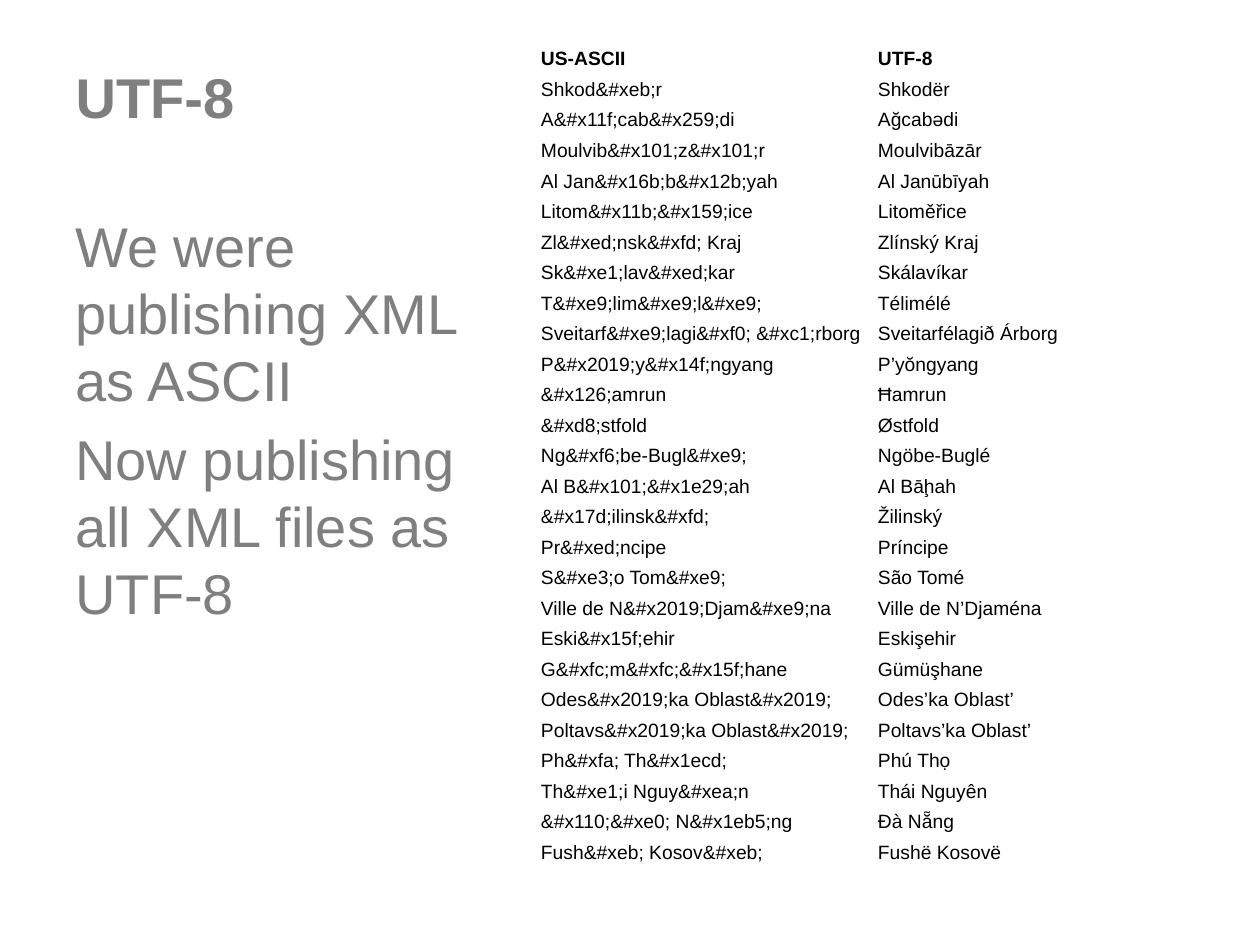
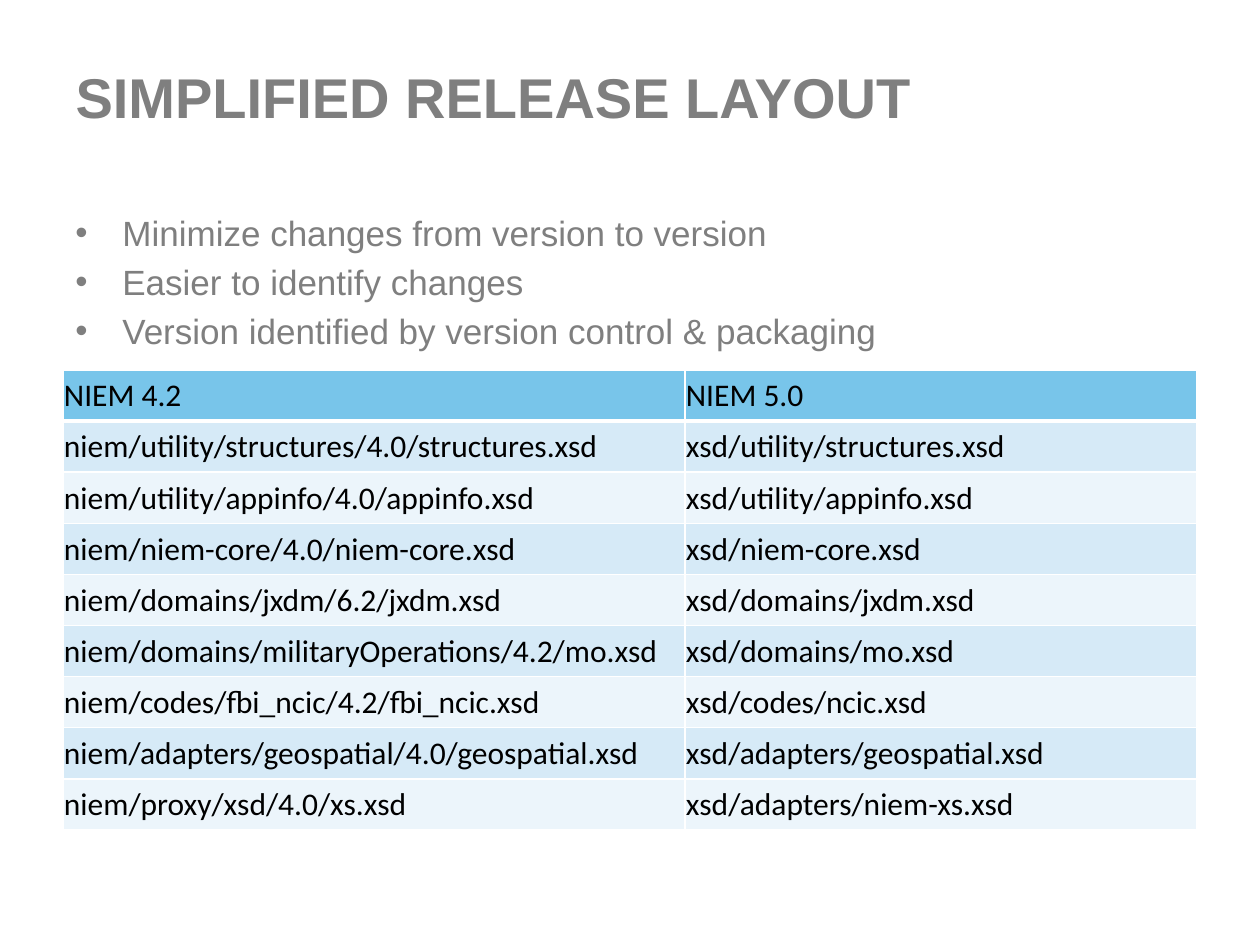
from lxml.etree import SubElement
from pptx import Presentation
from pptx.dml.color import RGBColor as Rgb
from pptx.enum.text import MSO_ANCHOR as Anchor, MSO_AUTO_SIZE as AutoSize, PP_ALIGN as Align
from pptx.oxml.ns import qn
from pptx.util import Emu, Pt

COLORS = {
    "heading": "7F7F7F",
    "cell_text": "000000",
    "border": "FFFFFF",
    "header": "78C5EA",
    "odd_row": "D6EAF7",
    "even_row": "ECF5FB",
}

PLACES = [
    ("US-ASCII", "UTF-8"),
    ("Shkod&#xeb;r", "Shkodër"),
    ("A&#x11f;cab&#x259;di", "Ağcabədi"),
    ("Moulvib&#x101;z&#x101;r", "Moulvibāzār"),
    ("Al Jan&#x16b;b&#x12b;yah", "Al Janūbīyah"),
    ("Litom&#x11b;&#x159;ice", "Litoměřice"),
    ("Zl&#xed;nsk&#xfd; Kraj", "Zlínský Kraj"),
    ("Sk&#xe1;lav&#xed;kar", "Skálavíkar"),
    ("T&#xe9;lim&#xe9;l&#xe9;", "Télimélé"),
    ("Sveitarf&#xe9;lagi&#xf0; &#xc1;rborg", "Sveitarfélagið Árborg"),
    ("P&#x2019;y&#x14f;ngyang", "P’yŏngyang"),
    ("&#x126;amrun", "Ħamrun"),
    ("&#xd8;stfold", "Østfold"),
    ("Ng&#xf6;be-Bugl&#xe9;", "Ngöbe-Buglé"),
    ("Al B&#x101;&#x1e29;ah", "Al Bāḩah"),
    ("&#x17d;ilinsk&#xfd;", "Žilinský"),
    ("Pr&#xed;ncipe", "Príncipe"),
    ("S&#xe3;o Tom&#xe9;", "São Tomé"),
    ("Ville de N&#x2019;Djam&#xe9;na", "Ville de N’Djaména"),
    ("Eski&#x15f;ehir", "Eskişehir"),
    ("G&#xfc;m&#xfc;&#x15f;hane", "Gümüşhane"),
    ("Odes&#x2019;ka Oblast&#x2019;", "Odes’ka Oblast’"),
    ("Poltavs&#x2019;ka Oblast&#x2019;", "Poltavs’ka Oblast’"),
    ("Ph&#xfa; Th&#x1ecd;", "Phú Thọ"),
    ("Th&#xe1;i Nguy&#xea;n", "Thái Nguyên"),
    ("&#x110;&#xe0; N&#x1eb5;ng", "Đà Nẵng"),
    ("Fush&#xeb; Kosov&#xeb;", "Fushë Kosovë"),
]

SCHEMA_FILES = [
    ("NIEM 4.2", "NIEM 5.0"),
    ("niem/utility/structures/4.0/structures.xsd", "xsd/utility/structures.xsd"),
    ("niem/utility/appinfo/4.0/appinfo.xsd", "xsd/utility/appinfo.xsd"),
    ("niem/niem-core/4.0/niem-core.xsd", "xsd/niem-core.xsd"),
    ("niem/domains/jxdm/6.2/jxdm.xsd", "xsd/domains/jxdm.xsd"),
    ("niem/domains/militaryOperations/4.2/mo.xsd", "xsd/domains/mo.xsd"),
    ("niem/codes/fbi_ncic/4.2/fbi_ncic.xsd", "xsd/codes/ncic.xsd"),
    ("niem/adapters/geospatial/4.0/geospatial.xsd", "xsd/adapters/geospatial.xsd"),
    ("niem/proxy/xsd/4.0/xs.xsd", "xsd/adapters/niem-xs.xsd"),
]


def px(length):
    return Emu(round(length * 914400 / 126))


class Deck:
    """Holds the shared style and the slide being built."""

    def __init__(self):
        self.show = Presentation()
        self.show.slide_width, self.show.slide_height = px(1260), px(945)
        self.slide = None

    def style(self, paragraph, size, color, face="Arial", bold=False):
        font = paragraph.font
        font.size, font.name, font.bold = Pt(size), face, bold
        font.color.rgb = Rgb.from_string(COLORS[color])

    def titled_slide(self, heading):
        self.slide = self.show.slides.add_slide(self.show.slide_layouts[5])
        title = self.slide.shapes.title
        title.left, title.top, title.width, title.height = px(63), px(69), px(1134), px(112)
        frame = title.text_frame
        frame.text = heading
        frame.auto_size = AutoSize.NONE
        frame.vertical_anchor = Anchor.TOP
        paragraph = frame.paragraphs[0]
        paragraph.alignment = Align.LEFT
        paragraph.line_spacing = 0.8
        self.style(paragraph, 32, "heading", bold=True)

    def body(self, points, width, size, bulleted=False):
        frame = self.slide.shapes.add_textbox(px(63), px(205), px(width), px(612)).text_frame
        frame.word_wrap = True
        frame.text = "\n".join(points)
        for index, paragraph in enumerate(frame.paragraphs):
            if index:
                paragraph.space_before = Pt(size * 0.2)
            if bulleted:
                props = paragraph._p.get_or_add_pPr()
                props.set("marL", str(px(47)))
                props.set("indent", str(-px(47)))
                SubElement(props, qn("a:buFont"), typeface="Arial")
                SubElement(props, qn("a:buChar"), char="•")
            self.style(paragraph, size, "heading")

    def border(self, cell, side, points):
        line = SubElement(cell._tc.get_or_add_tcPr(), qn(f"a:ln{side}"), w=str(Pt(points)))
        fill = SubElement(line, qn("a:solidFill"))
        SubElement(fill, qn("a:srgbClr"), val=COLORS["border"])

    def table(self, rows, left, top, widths, height, margins, size, face="Arial",
              bold_header=False, banded=False):
        frame = self.slide.shapes.add_table(
            len(rows), len(widths), px(left), px(top), px(sum(widths)), px(height))
        table = frame.table
        table.first_row = table.horz_banding = False
        for column, width in zip(table.columns, widths):
            column.width = px(width)
        for r, texts in enumerate(rows):
            table.rows[r].height = px(height / len(rows))
            for c, text in enumerate(texts):
                cell = table.cell(r, c)
                cell.text = text
                cell.vertical_anchor = Anchor.MIDDLE
                cell.margin_left, cell.margin_top, cell.margin_right, cell.margin_bottom = map(px, margins)
                self.style(cell.text_frame.paragraphs[0], size, "cell_text", face,
                           bold_header and r == 0)
                if banded:
                    self.band(cell, r)
                else:
                    cell.fill.background()

    def band(self, cell, row):
        sides = {"L": 1, "R": 1, "B": 1} if row else {"L": 1, "R": 1, "T": 1, "B": 3}
        for side, points in sides.items():
            self.border(cell, side, points)
        shade = "header" if row == 0 else "odd_row" if row % 2 else "even_row"
        cell.fill.solid()
        cell.fill.fore_color.rgb = Rgb.from_string(COLORS[shade])


def main():
    deck = Deck()

    deck.titled_slide("UTF-8")
    deck.body(["We were publishing XML as ASCII", "Now publishing all XML files as UTF-8"], 473, 32)
    deck.table(PLACES, 535, 44, [337, 337], 824, (6, 3, 6, 3), 11, bold_header=True)

    deck.titled_slide("SIMPLIFIED RELEASE LAYOUT")
    deck.body(["Minimize changes from version to version", "Easier to identify changes",
               "Version identified by version control & packaging"], 1134, 20, bulleted=True)
    deck.table(SCHEMA_FILES, 63, 370, [622, 512], 460, (1, 1, 1, 0), 18, "Calibri", banded=True)

    deck.show.save("out.pptx")


if __name__ == "__main__":
    main()
